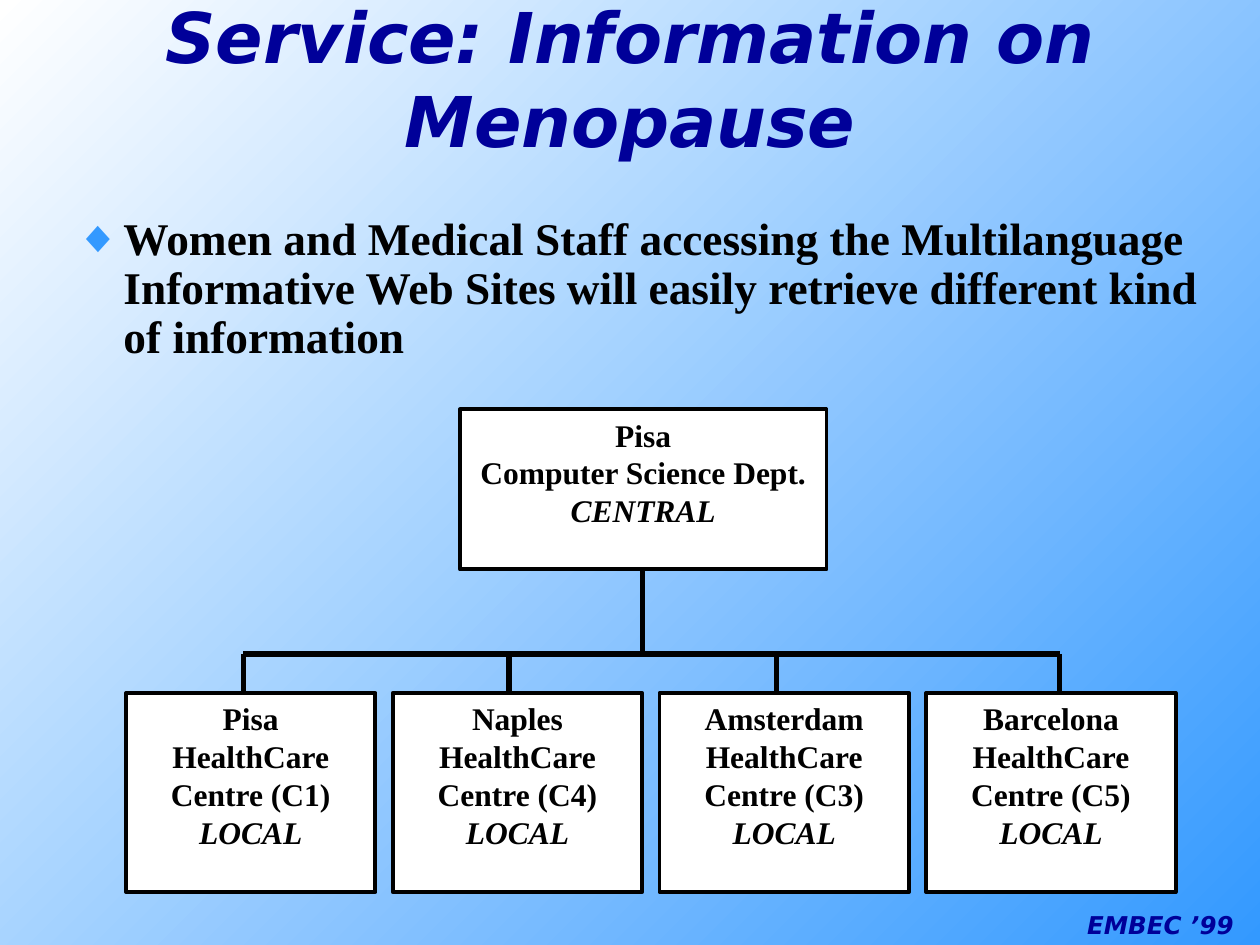
import pptx
import pptx.dml.color
import pptx.enum.shapes
import pptx.enum.text
import pptx.util
import lxml.etree
import pptx.oxml.ns

RGB = pptx.dml.color.RGBColor
NAVY = RGB(0x00, 0x00, 0x99)
SKY = RGB(0x33, 0x99, 0xFF)
WHITE = RGB(0xFF, 0xFF, 0xFF)
BLACK = RGB(0x00, 0x00, 0x00)
HEAD_FONT = "DejaVu Sans"
TEXT_FONT = "Times New Roman"
COLUMNS, ROWS = 100, 75
Align = pptx.enum.text.PP_ALIGN
Anchor = pptx.enum.text.MSO_ANCHOR


def write(para, text, font=TEXT_FONT, size=18, color=BLACK, italic=False, align=Align.CENTER):
    """Add bold text to a paragraph in the given format."""
    para.alignment = align
    span = para.add_run()
    span.text = text
    span.font.name = font
    span.font.size = pptx.util.Pt(size)
    span.font.bold = True
    span.font.italic = italic
    span.font.color.rgb = color


class Chart:
    """Draw styled elements on one slide, placed by grid columns and rows."""

    def __init__(self, deck):
        self.column = deck.slide_width / COLUMNS
        self.row = deck.slide_height / ROWS
        self.page = deck.slides.add_slide(deck.slide_layouts[1])

    def point(self, column, row):
        return round(column * self.column), round(row * self.row)

    def background(self, start, end):
        fill = self.page.background.fill
        fill.gradient()
        fill.gradient_angle = 135
        for stop, color in zip(fill.gradient_stops, (start, end)):
            stop.color.rgb = color

    def settle(self, box, area, anchor):
        box.left, box.top = self.point(*area[:2])
        box.width, box.height = self.point(*area[2:])
        frame = box.text_frame
        frame.word_wrap = True
        frame.auto_size = pptx.enum.text.MSO_AUTO_SIZE.NONE
        frame.vertical_anchor = anchor
        return frame.paragraphs[0]

    def title(self, text, area):
        para = self.settle(self.page.shapes.title, area, Anchor.BOTTOM)
        write(para, text, font=HEAD_FONT, size=40, color=NAVY, italic=True)

    def body(self, text, area):
        para = self.settle(self.page.placeholders[1], area, Anchor.TOP)
        para.line_spacing = 0.9
        para.space_before = pptx.util.Pt(7)
        write(para, text, size=25.9, align=Align.LEFT)
        props = para._p.get_or_add_pPr()
        indent = pptx.util.Inches(0.38)
        props.set("marL", str(indent))
        props.set("indent", str(-indent))
        qn = pptx.oxml.ns.qn
        color = lxml.etree.SubElement(props, qn("a:buClr"))
        lxml.etree.SubElement(color, qn("a:srgbClr"), val=str(SKY))
        lxml.etree.SubElement(props, qn("a:buChar"), char="◆")

    def label(self, text, area):
        box = self.page.shapes.add_textbox(0, 0, 0, 0)
        para = self.settle(box, area, Anchor.MIDDLE)
        write(para, text, font=HEAD_FONT, size=14, color=NAVY, italic=True)

    def unit(self, lines, role, area):
        kind = pptx.enum.shapes.MSO_SHAPE.RECTANGLE
        box = self.page.shapes.add_shape(kind, 0, 0, 0, 0)
        box.shadow.inherit = False
        box.fill.solid()
        box.fill.fore_color.rgb = WHITE
        box.line.color.rgb = BLACK
        box.line.width = pptx.util.Pt(2.24)
        para = self.settle(box, area, Anchor.TOP)
        for line in lines:
            write(para, line)
            para = box.text_frame.add_paragraph()
        write(para, role, italic=True)

    def line(self, start, end):
        kind = pptx.enum.shapes.MSO_CONNECTOR.STRAIGHT
        link = self.page.shapes.add_connector(kind, *self.point(*start), *self.point(*end))
        link.line.color.rgb = BLACK
        link.line.width = pptx.util.Pt(3)
        lxml.etree.SubElement(link._element.spPr, pptx.oxml.ns.qn("a:effectLst"))


deck = pptx.Presentation()
deck.slide_width = pptx.util.Inches(10)
deck.slide_height = pptx.util.Inches(7.5)
chart = Chart(deck)
chart.background(SKY, WHITE)
chart.title("Service: Information on Menopause", (0, 3.3, 100, 10))
chart.body(
    "Women and Medical Staff accessing the Multilanguage Informative Web Sites "
    "will easily retrieve different kind of information",
    (5, 16.7, 92.5, 14.2),
)

CENTRAL_BOTTOM, BUS, LOCAL_TOP = 45.2, 51.9, 55
TRUNK = 51
DROPS = (19.3, 40.4, 61.6, 84.1)
LOCAL_LEFT, LOCAL_STEP = 10, 21.17
CENTRES = (
    ("Pisa", "HealthCare Centre (C1)"),
    ("Naples HealthCare Centre (C4)",),
    ("Amsterdam HealthCare Centre (C3)",),
    ("Barcelona HealthCare Centre (C5)",),
)

chart.unit(("Pisa", "Computer Science Dept."), "CENTRAL", (36.5, 32.5, 29.1, 12.7))
chart.line((TRUNK, CENTRAL_BOTTOM), (TRUNK, BUS))
chart.line((DROPS[0], BUS), (DROPS[-1], BUS))
for drop in DROPS:
    chart.line((drop, BUS), (drop, LOCAL_TOP))
for index, lines in enumerate(CENTRES):
    chart.unit(lines, "LOCAL", (LOCAL_LEFT + index * LOCAL_STEP, LOCAL_TOP, 19.8, 15.8))
chart.label("EMBEC ’99", (84.2, 71.7, 15.8, 3.4))

deck.save("out.pptx")
